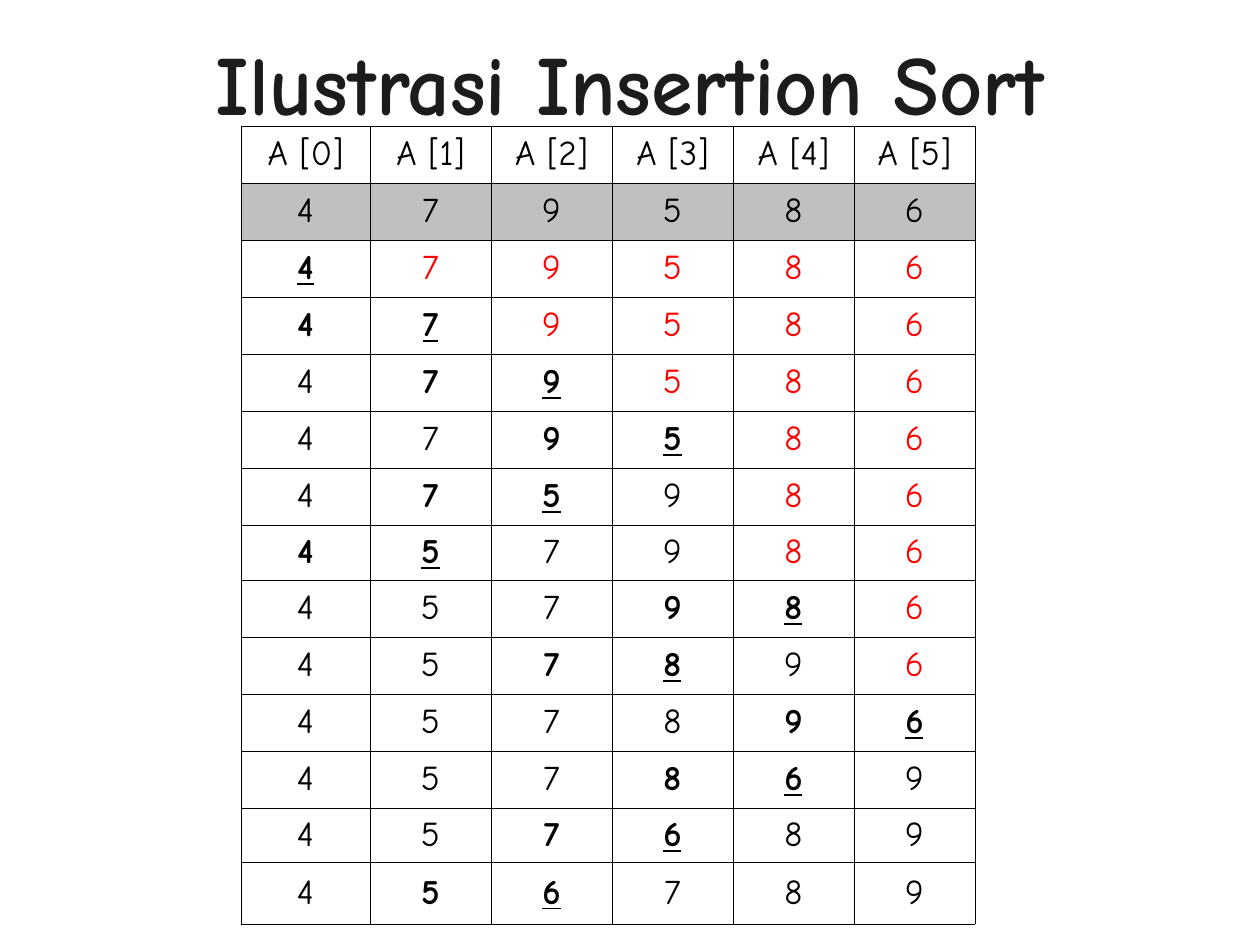
from lxml.etree import SubElement
from pptx import Presentation
from pptx.dml.color import RGBColor
from pptx.enum.text import MSO_ANCHOR, PP_ALIGN
from pptx.oxml.ns import qn
from pptx.util import Emu, Pt

TITLE = "Ilustrasi Insertion Sort"
HEADS = [f"A [{i}]" for i in range(6)]
START = "479586"
# digits, index of the moving key, index where the unsorted part starts
STEPS = [
    ("479586", 0, 1),
    ("479586", 1, 2),
    ("479586", 2, 3),
    ("479586", 3, 4),
    ("475986", 2, 4),
    ("457986", 1, 4),
    ("457986", 4, 5),
    ("457896", 3, 5),
    ("457896", 5, 6),
    ("457869", 4, 6),
    ("457689", 3, 6),
    ("456789", 2, 6),
]
WIDTHS = [129] + [121] * 5
HEIGHTS = [57] * 7 + [55] + [57] * 4 + [54, 62]

FONT = "Comic Neue"
BLACK = RGBColor(0, 0, 0)
DARK = RGBColor(0x1C, 0x1C, 0x1C)
RED = RGBColor(0xFF, 0, 0)
GREY = RGBColor(0xC0, 0xC0, 0xC0)
SCALE = 914400 / 126


def px(n):
    return Emu(round(n * SCALE))


def write(frame, text, size=20, color=BLACK, bold=False, under=False):
    para = frame.paragraphs[0]
    para.alignment = PP_ALIGN.CENTER
    run = para.add_run()
    run.text = text
    font = run.font
    font.name, font.size = FONT, Pt(size)
    font.bold, font.underline = bold, under
    font.color.rgb = color


def frame_cell(cell):
    props = cell._tc.get_or_add_tcPr()
    for side in ("a:lnL", "a:lnR", "a:lnT", "a:lnB"):
        line = SubElement(props, qn(side), w=str(Pt(0.45)))
        fill = SubElement(line, qn("a:solidFill"))
        SubElement(fill, qn("a:srgbClr"), val=str(BLACK))


def put(cell, text, shade=None, **style):
    frame_cell(cell)
    cell.vertical_anchor = MSO_ANCHOR.MIDDLE
    if shade is None:
        cell.fill.background()
    else:
        cell.fill.solid()
        cell.fill.fore_color.rgb = shade
    write(cell.text_frame, text, **style)


deck = Presentation()
deck.slide_width, deck.slide_height = px(1260), px(945)
slide = deck.slides.add_slide(deck.slide_layouts[5])

title = slide.shapes.title
title.left, title.top, title.width, title.height = map(px, (63, 38, 1134, 88))
title.text_frame.vertical_anchor = MSO_ANCHOR.MIDDLE
write(title.text_frame, TITLE, size=48, color=DARK, bold=True)

table = slide.shapes.add_table(
    len(HEIGHTS), len(WIDTHS), px(241), px(126), px(sum(WIDTHS)), px(sum(HEIGHTS))
).table
table.first_row = table.horz_banding = False
for col, wide in zip(table.columns, WIDTHS):
    col.width = px(wide)
for row, high in zip(table.rows, HEIGHTS):
    row.height = px(high)

for c, (head, digit) in enumerate(zip(HEADS, START)):
    put(table.cell(0, c), head)
    put(table.cell(1, c), digit, shade=GREY)
for r, (digits, key, rest) in enumerate(STEPS, 2):
    for c, digit in enumerate(digits):
        put(
            table.cell(r, c),
            digit,
            color=RED if c >= rest else BLACK,
            bold=c in (key - 1, key),
            under=c == key,
        )

deck.save("out.pptx")
